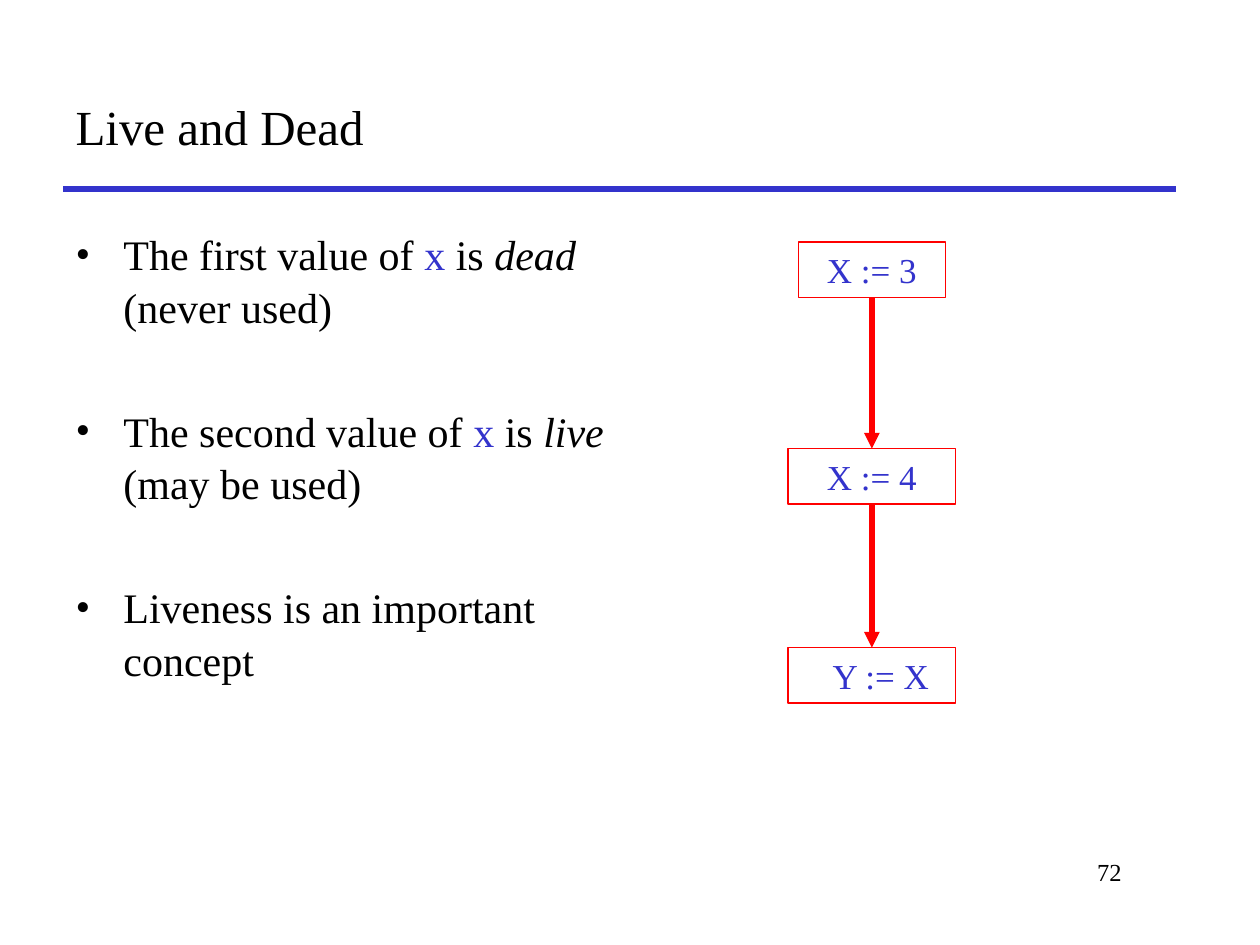
"""Build the slide on live and dead values."""
from lxml.etree import SubElement
from pptx import Presentation
from pptx.dml.color import RGBColor
from pptx.enum.shapes import MSO_CONNECTOR, MSO_SHAPE
from pptx.enum.text import MSO_ANCHOR, MSO_AUTO_SIZE, PP_ALIGN
from pptx.oxml.ns import qn
from pptx.util import Inches, Pt

COLORS = {"text": "000000", "accent": "3333CC", "flow": "FF0000"}
FONT = "Times New Roman"

deck = Presentation()
deck.slide_width, deck.slide_height = Inches(10), Inches(7.5)
page = deck.slides.add_slide(deck.slide_layouts[1])


def add_span(para, text, size, color="text", italic=False):
    span = para.add_run()
    span.text = text
    span.font.name = FONT
    span.font.size = Pt(size)
    span.font.italic = italic
    span.font.color.rgb = RGBColor.from_string(COLORS[color])


def add_line(start, end, color):
    line = page.shapes.add_connector(MSO_CONNECTOR.STRAIGHT, *map(Inches, start + end))
    line.line.color.rgb = RGBColor.from_string(COLORS[color])
    line.line.width = Pt(3)
    SubElement(line._element.spPr, qn("a:effectLst"))
    return line


left, content_width, rule_top = 0.5, 8.83, 1.5
add_line((left, rule_top), (left + content_width, rule_top), "accent")

title, body = page.shapes.title, page.placeholders[1]
for holder, top, width, height, anchor in (
    (title, 0.5, content_width, 1, MSO_ANCHOR.MIDDLE),
    (body, 1.75, 4.46, 4.83, MSO_ANCHOR.TOP),
):
    holder.left, holder.top = Inches(left), Inches(top)
    holder.width, holder.height = Inches(width), Inches(height)
    holder.text_frame.auto_size = MSO_AUTO_SIZE.NONE
    holder.text_frame.vertical_anchor = anchor

heading = title.text_frame.paragraphs[0]
heading.alignment = PP_ALIGN.LEFT
add_span(heading, "Live and Dead", 28)

points = [
    [("The first value of ",), ("x", "accent"), (" is ",), ("dead ", "text", True), ("(never used)",)],
    [("The second value of ",), ("x ", "accent"), ("is ",), ("live", "text", True), (" (may be used)",)],
    [("Liveness is an important concept",)],
]
for index, point in enumerate(points):
    para = body.text_frame.paragraphs[0] if index == 0 else body.text_frame.add_paragraph()
    properties = para._p.get_or_add_pPr()
    properties.set("marL", str(Inches(0.38)))
    properties.set("indent", str(-Inches(0.38)))
    SubElement(properties, qn("a:buFont"), typeface=FONT)
    SubElement(properties, qn("a:buChar"), char="•")
    para.line_spacing = 1.04
    para.space_before = Pt(41 if index else 0)
    for text, *style in point:
        add_span(para, text, 24, *style)

center, box_height = 6.92, 0.44
statements = [("X := 3", 1.92, 1.17, 0.1), ("X := 4", 3.56, 1.33, 0.1), ("Y := X", 5.14, 1.33, 0.24)]
for text, top, width, inset in statements:
    box = page.shapes.add_shape(
        MSO_SHAPE.RECTANGLE, Inches(center - width / 2), Inches(top), Inches(width), Inches(box_height)
    )
    box.shadow.inherit = False
    box.fill.background()
    box.line.color.rgb = RGBColor.from_string(COLORS["flow"])
    box.line.width = Pt(0.75)
    box.text_frame.margin_left = Inches(inset)
    box.text_frame.vertical_anchor = MSO_ANCHOR.MIDDLE
    para = box.text_frame.paragraphs[0]
    para.alignment = PP_ALIGN.CENTER
    add_span(para, text, 20, "accent")

for upper, lower in zip(statements, statements[1:]):
    arrow = add_line((center, upper[1] + box_height), (center, lower[1]), "flow")
    SubElement(arrow.line._get_or_add_ln(), qn("a:tailEnd"), type="triangle")

number = page.shapes.add_textbox(Inches(center), Inches(6.75), Inches(2.08), Inches(0.5))
number.text_frame.word_wrap = True
para = number.text_frame.paragraphs[0]
para.alignment = PP_ALIGN.RIGHT
add_span(para, "72", 14)

deck.save("out.pptx")
